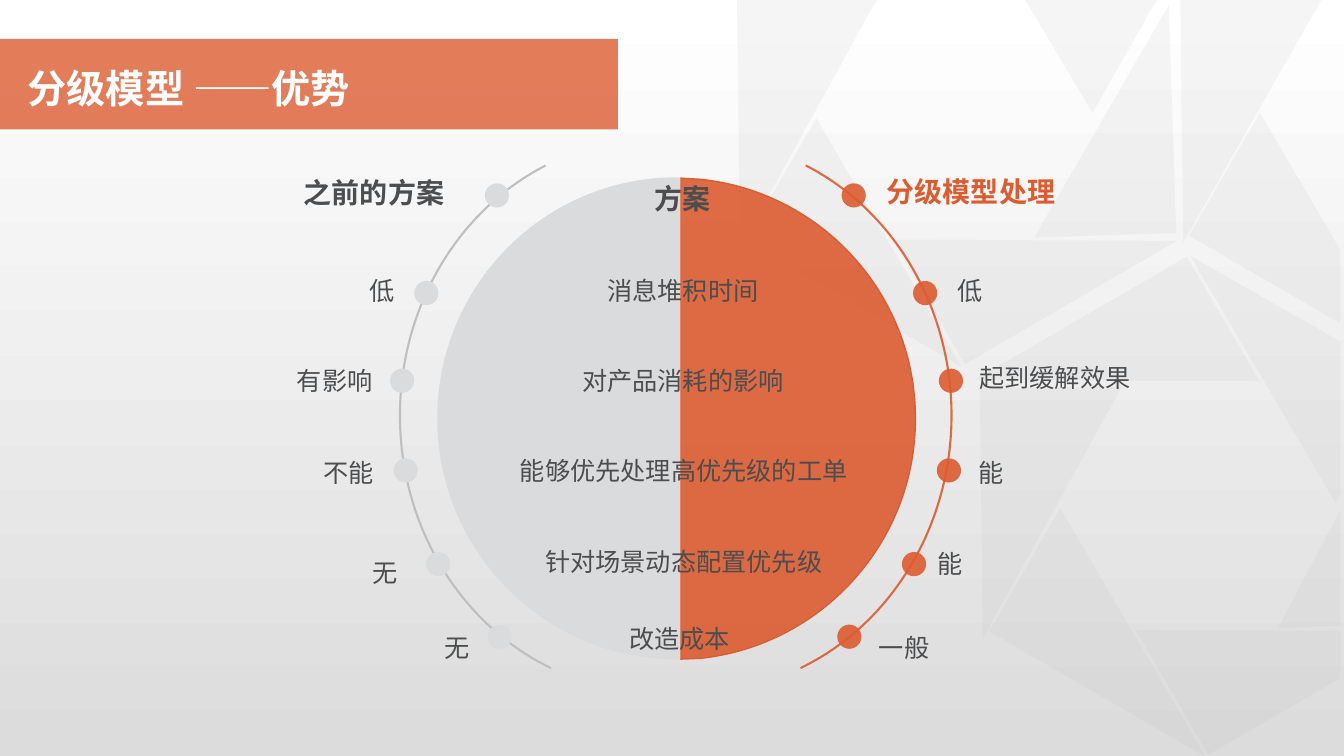
from lxml.etree import SubElement
from pptx import Presentation
from pptx.dml.color import RGBColor
from pptx.enum.shapes import MSO_SHAPE
from pptx.enum.text import MSO_AUTO_SIZE, PP_ALIGN
from pptx.oxml.ns import qn
from pptx.util import Cm, Pt

ORANGE, SILVER, GREY, DARK, WHITE = "DC5C31", "DADBDC", "BFBFBF", "4B4D4F", "FFFFFF"
DOT = 0.61

TRIANGLES = [
    (25.07, 7.77, 6.17, 3.63, 149.8),
    (23.37, 11.13, 6.3, 3.58, 89.3),
    (25.4, 14.15, 6.3, 3.58, 30.1),
    (28.52, 1.24, 6.1, 3.58, 89.3),
    (17.25, 1.27, 6.3, 3.58, 89.3),
    (19.25, 4.32, 6.3, 3.58, 30.1),
    (22.99, 4.24, 6.17, 3.63, 329.8),
    (24.89, 1.27, 5.74, 3.58, 268.1),
]
FACETS = [
    [(28.63, 15.88), (33.78, 15.9), (33.78, 17.09), (30.45, 19.02)],
    [(33.78, 12.85), (33.78, 15.77), (32.21, 15.82)],
    [(30, 6.45), (33.78, 8.61), (33.78, 12.47), (33.66, 12.67)],
    [(31.75, 2.84), (33.78, 6.3), (33.78, 8.15), (29.97, 5.94)],
    [(25.81, -0.05), (29.18, -0.05), (27.53, 2.84)],
]
RIGHT_HALF = [
    (17.15, 4.49), (17.65, 4.52),
    (20.68, 4.83), (23.07, 7.39), (23.07, 10.55),
    (23.07, 13.7), (20.68, 16.27), (17.65, 16.59),
    (17.15, 16.61),
]
LEFT_HALF = [
    (17.04, 4.47), (17.15, 4.48), (17.15, 16.61), (17.04, 16.61),
    (13.72, 16.61), (11.02, 13.89), (11.02, 10.54),
    (11.02, 7.19), (13.72, 4.47), (17.04, 4.47),
]
DOTS = [
    (12.22, 21.21, 4.62),
    (10.44, 23.01, 7.08),
    (9.83, 23.66, 9.29),
    (9.92, 23.61, 11.55),
    (10.74, 22.73, 13.91),
    (12.29, 21.1, 15.74),
]
CRITERIA = [
    ("方案", 17.21, 4.45),
    ("消息堆积时间", 17.21, 6.81),
    ("对产品消耗的影响", 17.21, 9.07),
    ("能够优先处理高优先级的工单", 17.23, 11.34),
    ("针对场景动态配置优先级", 17.23, 13.64),
    ("改造成本", 17.13, 15.58),
]
BEFORE = [
    ("之前的方案", 7.41, 4.29),
    ("低", 9.07, 6.81),
    ("有影响", 7.23, 9.07),
    ("不能", 7.9, 11.39),
    ("无", 9.14, 13.92),
    ("无", 10.94, 15.8),
]
AFTER = [
    ("分级模型处理", 22.1, 4.27),
    ("低", 23.88, 6.81),
    ("起到缓解效果", 24.43, 9.01),
    ("能", 24.41, 11.39),
    ("能", 23.37, 13.69),
    ("一般", 21.9, 15.8),
]


def color(value):
    return RGBColor.from_string(value)


class SlideBuilder:
    def __init__(self, slide):
        self.slide = slide
        self.body = {"name": "Arial", "size": Pt(18), "bold": False}
        self.heading = {"name": "Arial", "size": Pt(20), "bold": True}
        self.title = {"name": "Arial", "size": Pt(28), "bold": True}

    def paint(self, fill, value, opacity=100):
        fill.solid()
        fill.fore_color.rgb = color(value)
        if opacity < 100:
            for element in fill._xPr.iter(qn("a:srgbClr")):
                SubElement(element, qn("a:alpha"), val=str(opacity * 1000))

    def finish(self, shape, fill, opacity):
        shape.shadow.inherit = False
        shape.line.fill.background()
        if fill:
            self.paint(shape.fill, fill, opacity)
        else:
            shape.fill.background()
        return shape

    def preset(self, kind, left, top, width, height, fill=None, opacity=100, rotation=0):
        shape = self.slide.shapes.add_shape(kind, Cm(left), Cm(top), Cm(width), Cm(height))
        shape.rotation = rotation
        return self.finish(shape, fill, opacity)

    def outline(self, points, fill, opacity=100, curves=()):
        corners = [(Cm(x), Cm(y)) for x, y in points]
        builder = self.slide.shapes.build_freeform(*corners[0])
        builder.add_line_segments(corners[1:], close=True)
        shape = builder.convert_to_shape()
        segments = list(shape._element.iter(qn("a:lnTo")))
        for first in curves:
            curve = segments[first - 1]
            curve.tag = qn("a:cubicBezTo")
            for segment in segments[first:first + 2]:
                curve.append(segment[0])
                segment.getparent().remove(segment)
        return self.finish(shape, fill, opacity)

    def backdrop(self, width, height):
        shape = self.preset(MSO_SHAPE.RECTANGLE, 0, 0, width, height)
        shape.fill.gradient()
        shape.fill.gradient_angle = 90
        for stop, value in zip(shape.fill.gradient_stops, ("DCDCDC", WHITE)):
            stop.color.rgb = color(value)

    def arc(self, left, start, end, value, opacity=100):
        shape = self.preset(MSO_SHAPE.ARC, left, 3.51, 12.78, 13.92)
        shape.adjustments[0] = start
        shape.adjustments[1] = end
        shape.line.width = Pt(1.5)
        self.paint(shape.line.fill, value, opacity)

    def text(self, words, left, top, width, height, style, value=DARK,
             alignment=PP_ALIGN.LEFT, wrap=False, spacing=1.0):
        box = self.slide.shapes.add_textbox(Cm(left), Cm(top), Cm(width), Cm(height))
        frame = box.text_frame
        frame.word_wrap = wrap
        frame.auto_size = MSO_AUTO_SIZE.SHAPE_TO_FIT_TEXT
        paragraph = frame.paragraphs[0]
        paragraph.alignment = alignment
        paragraph.line_spacing = spacing
        run = paragraph.add_run()
        run.text = words
        for name, setting in style.items():
            setattr(run.font, name, setting)
        run.font.color.rgb = color(value)

    def label(self, words, x, top, heading=False, value=DARK, centered=False):
        style = self.heading if heading else self.body
        width = len(words) * style["size"].cm + 0.51
        left = x - width / 2 if centered else x
        alignment = PP_ALIGN.CENTER if centered else PP_ALIGN.LEFT
        self.text(words, left, top, width, 1.12 if heading else 1.02, style, value, alignment)


def main():
    presentation = Presentation()
    presentation.slide_width = Cm(33.87)
    presentation.slide_height = Cm(19.05)
    builder = SlideBuilder(presentation.slides.add_slide(presentation.slide_layouts[6]))

    builder.backdrop(33.87, 19.05)
    for left, top, width, height, rotation in TRIANGLES:
        builder.preset(MSO_SHAPE.RIGHT_TRIANGLE, left, top, width, height, GREY, 14, rotation)
    for points in FACETS:
        builder.outline(points, GREY, 14)

    right_half = builder.outline(RIGHT_HALF, ORANGE, 90, curves=(2, 5))
    right_half.line.width = Pt(1)
    builder.paint(right_half.line.fill, ORANGE)
    builder.outline(LEFT_HALF, SILVER, curves=(4, 7))

    builder.arc(11.2, 176.0, 40.74, ORANGE, 90)
    builder.arc(10.08, 67.26, 148.0, GREY)
    for before_left, after_left, top in DOTS:
        builder.preset(MSO_SHAPE.OVAL, after_left, top, DOT, DOT, ORANGE, 90)
        builder.preset(MSO_SHAPE.OVAL, before_left, top, DOT, DOT, SILVER)

    columns = ((CRITERIA, DARK, True), (BEFORE, DARK, False), (AFTER, ORANGE, False))
    for labels, heading_color, centered in columns:
        for row, (words, x, top) in enumerate(labels):
            builder.label(words, x, top, row == 0, DARK if row else heading_color, centered)

    builder.preset(MSO_SHAPE.RECTANGLE, -0.43, 0.98, 16, 2.28, ORANGE, 80)
    builder.text("分级模型 ——优势", 0.45, 1.14, 13.74, 1.8, builder.title, WHITE, wrap=True, spacing=1.3)

    presentation.save("out.pptx")


if __name__ == "__main__":
    main()
